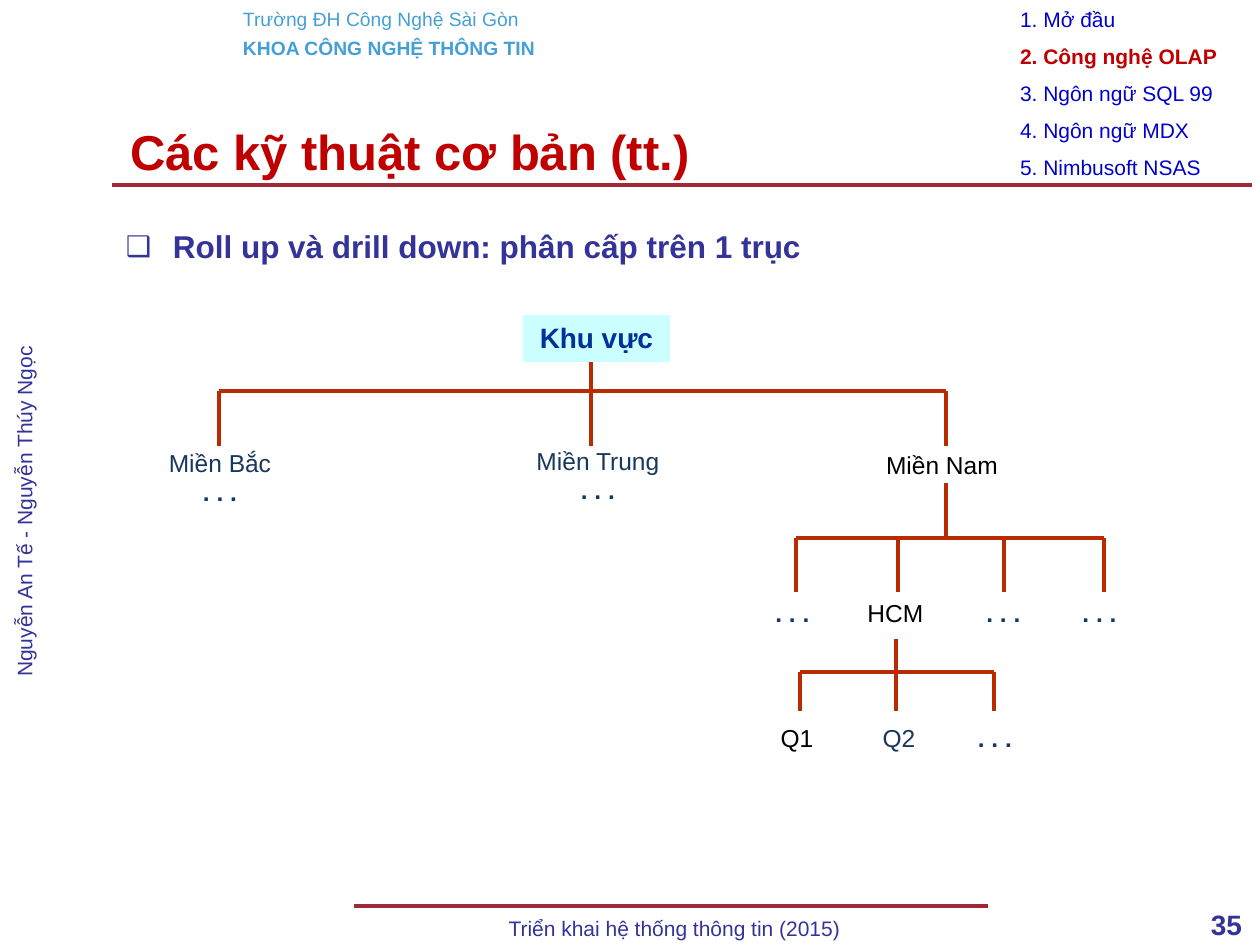
from lxml.etree import SubElement
from pptx import Presentation
from pptx.dml.color import RGBColor
from pptx.enum.shapes import MSO_CONNECTOR, MSO_SHAPE
from pptx.enum.text import MSO_ANCHOR, PP_ALIGN
from pptx.oxml.ns import qn
from pptx.util import Pt

SCALE = 914400 / 126
COLOURS = {
    "title": "C00000",
    "rule": "9F2936",
    "branch": "B82C00",
    "school": "459FD7",
    "indigo": "333399",
    "menu": "0000CC",
    "navy": "17375E",
    "black": "000000",
    "root": "003399",
    "root_fill": "CCFFFF",
}
DOTS = ". . ."


def emu(px):
    return round(px * SCALE)


def colour(name):
    return RGBColor.from_string(COLOURS[name])


class SlidePainter:
    font_name = "Arial"

    def __init__(self, slide):
        self.slide = slide

    def fill_text(self, shape, lines, align=PP_ALIGN.LEFT, wrap=True, anchor=MSO_ANCHOR.TOP):
        frame = shape.text_frame
        frame_format = {
            "word_wrap": wrap,
            "vertical_anchor": anchor,
            "margin_left": emu(13),
            "margin_right": emu(13),
            "margin_top": emu(6),
            "margin_bottom": emu(6),
        }
        for name, value in frame_format.items():
            setattr(frame, name, value)
        for index, (text, size, ink, bold, before) in enumerate(lines):
            para = frame.add_paragraph() if index else frame.paragraphs[0]
            para.alignment = align
            if before:
                para.space_before = Pt(before)
            span = para.add_run()
            span.text = text
            span_format = {"name": self.font_name, "size": Pt(size), "bold": bold}
            for name, value in span_format.items():
                setattr(span.font, name, value)
            span.font.color.rgb = colour(ink)
        return shape

    def title(self, area, text):
        shape = self.slide.shapes.title
        for name, value in zip(("left", "top", "width", "height"), area):
            setattr(shape, name, emu(value))
        self.fill_text(shape, [(text, 28, "title", True, 0)], anchor=MSO_ANCHOR.MIDDLE)

    def text(self, area, lines, **layout):
        box = self.slide.shapes.add_textbox(*map(emu, area))
        return self.fill_text(box, lines, **layout)

    def bullet(self, area, text):
        box = self.text(area, [(text, 18, "indigo", True, 0)])
        para = box.text_frame.paragraphs[0]
        para.line_spacing = 1.25
        properties = para._p.get_or_add_pPr()
        properties.set("marL", str(emu(47)))
        properties.set("indent", str(-emu(47)))
        ink = SubElement(properties, qn("a:buClr"))
        SubElement(ink, qn("a:srgbClr")).set("val", COLOURS["indigo"])
        SubElement(properties, qn("a:buSzPct")).set("val", "90000")
        SubElement(properties, qn("a:buFont")).set("typeface", self.font_name)
        SubElement(properties, qn("a:buChar")).set("char", "❑")

    def panel(self, area, lines, fill):
        shape = self.slide.shapes.add_shape(MSO_SHAPE.RECTANGLE, *map(emu, area))
        shape.shadow.inherit = False
        shape.fill.solid()
        shape.fill.fore_color.rgb = colour(fill)
        shape.line.fill.background()
        self.fill_text(shape, lines, align=PP_ALIGN.CENTER)

    def line(self, start, end, ink="branch", width=2.25):
        connector = self.slide.shapes.add_connector(
            MSO_CONNECTOR.STRAIGHT, *map(emu, start + end))
        connector.line.color.rgb = colour(ink)
        connector.line.width = Pt(width)
        SubElement(connector._element.spPr, qn("a:effectLst"))

    def branch(self, trunk, top, bar, bottom, drops):
        self.line((trunk, top), (trunk, bar))
        self.line((drops[0], bar), (drops[-1], bar))
        for drop in drops:
            self.line((drop, bar), (drop, bottom))

    def node(self, centre, top, width, name, ink="navy", dots=False):
        lines = [(name, 14, ink, name == DOTS, 0)]
        if dots:
            lines.append((DOTS, 14, ink, True, 0))
        area = (centre - width // 2, top, width, 72 if dots else 43)
        self.text(area, lines, align=PP_ALIGN.CENTER)


def main():
    deck = Presentation()
    deck.slide_width, deck.slide_height = emu(1260), emu(945)
    page = SlidePainter(deck.slides.add_slide(deck.slide_layouts[5]))

    page.line((354, 906), (988, 906), "rule", 2)
    page.line((112, 185), (1252, 185), "rule", 2)
    page.text((230, 1, 353, 66), [
        ("Trường ĐH Công Nghệ Sài Gòn", 11, "school", False, 0),
        ("KHOA CÔNG NGHỆ THÔNG TIN", 11, "school", True, 3.4),
    ])
    authors = page.text((-142, 480, 358, 63), [
        ("Nguyễn An Tế - Nguyễn Thúy Ngọc", 12, "indigo", False, 0),
    ], align=PP_ALIGN.CENTER)
    authors.rotation = 270
    page.text((362, 910, 625, 33), [
        ("Triển khai hệ thống thông tin (2015)", 12, "indigo", False, 0),
    ], align=PP_ALIGN.CENTER)
    page.text((1126, 902, 129, 37), [("35", 16, "indigo", True, 0)],
              align=PP_ALIGN.RIGHT)

    page.title((117, 106, 883, 89), "Các kỹ thuật cơ bản (tt.)")
    page.bullet((113, 212, 1131, 60), "Roll up và drill down: phân cấp trên 1 trục")

    page.branch(591, 357, 391, 446, (219, 591, 946))
    page.branch(946, 483, 538, 592, (796, 898, 1004, 1104))
    page.branch(896, 639, 672, 711, (800, 896, 994))

    page.node(220, 442, 168, "Miền Bắc", dots=True)
    page.node(598, 440, 150, "Miền Trung", dots=True)
    page.node(942, 444, 150, "Miền Nam", "black")
    provinces = ((792, DOTS, "navy"), (895, "HCM", "black"),
                 (1003, DOTS, "navy"), (1099, DOTS, "navy"))
    for centre, name, ink in provinces:
        page.node(centre, 592, 87, name, ink)
    districts = ((797, "Q1", "black"), (899, "Q2", "navy"), (995, DOTS, "navy"))
    for centre, name, ink in districts:
        page.node(centre, 717, 102, name, ink)
    page.panel((523, 315, 147, 47), [("Khu vực", 16, "root", True, 0)], "root_fill")

    chapters = ("Mở đầu", "Công nghệ OLAP", "Ngôn ngữ SQL 99",
                "Ngôn ngữ MDX", "Nimbusoft NSAS")
    for index, chapter in enumerate(chapters):
        current = index == 1
        ink = "title" if current else "menu"
        page.text((1007, 1 + 37 * index, 248, 38),
                  [(f"{index + 1}. {chapter}", 12, ink, current, 0)], wrap=False)

    deck.save("out.pptx")


if __name__ == "__main__":
    main()
